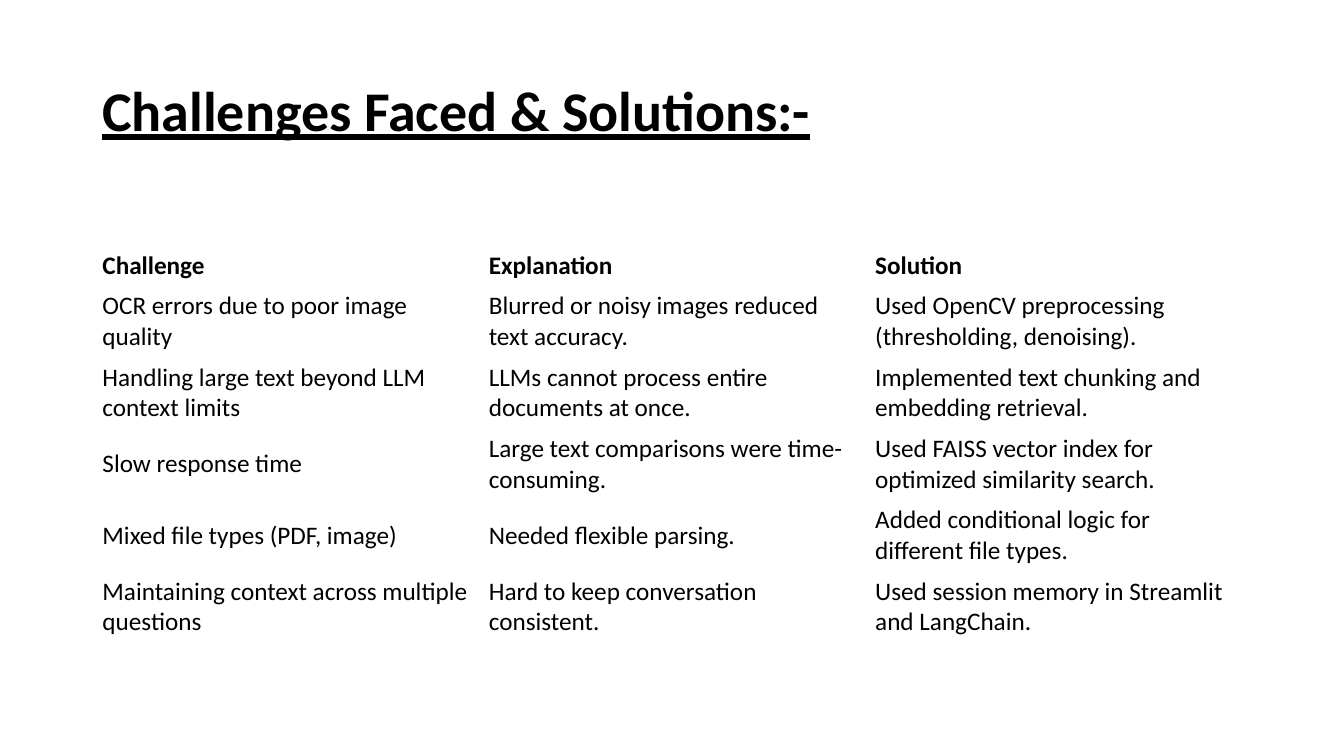
from dataclasses import dataclass

from pptx import Presentation
from pptx.dml.color import RGBColor
from pptx.enum.text import MSO_VERTICAL_ANCHOR as Anchor
from pptx.slide import Slide
from pptx.text.text import _Paragraph as Paragraph
from pptx.util import Pt

COLORS = {"text": "000000", "background": "FFFFFF"}
TITLE_FORMAT = {"name": "Calibri", "size": Pt(40), "bold": True, "underline": True}
HEADING_FORMAT = {"name": "Calibri", "size": Pt(18), "bold": True}
BODY_FORMAT = HEADING_FORMAT | {"bold": False}

LEFT, CONTENT_WIDTH = 66, 828
TITLE_TOP, TITLE_HEIGHT = 28.75, 104.4
TABLE_TOP, HEADING_HEIGHT, ENTRY_HEIGHT = 175, 29, 51


@dataclass(frozen=True)
class Entry:
    challenge: str
    explanation: str
    solution: str

    def texts(self) -> tuple[str, str, str]:
        return self.challenge, self.explanation, self.solution


HEADINGS = Entry("Challenge", "Explanation", "Solution")
ENTRIES = [
    Entry("OCR errors due to poor image quality",
          "Blurred or noisy images reduced text accuracy.",
          "Used OpenCV preprocessing (thresholding, denoising)."),
    Entry("Handling large text beyond LLM context limits",
          "LLMs cannot process entire documents at once.",
          "Implemented text chunking and embedding retrieval."),
    Entry("Slow response time",
          "Large text comparisons were time-consuming.",
          "Used FAISS vector index for optimized similarity search."),
    Entry("Mixed file types (PDF, image)",
          "Needed flexible parsing.",
          "Added conditional logic for different file types."),
    Entry("Maintaining context across multiple questions",
          "Hard to keep conversation consistent.",
          "Used session memory in Streamlit and LangChain."),
]


def write(paragraph: Paragraph, text: str, font_format: dict) -> None:
    run = paragraph.add_run()
    run.text = text
    for attribute, value in font_format.items():
        setattr(run.font, attribute, value)
    run.font.color.rgb = RGBColor.from_string(COLORS["text"])


def add_title(slide: Slide, text: str) -> None:
    title = slide.shapes.add_textbox(
        Pt(LEFT), Pt(TITLE_TOP), Pt(CONTENT_WIDTH), Pt(TITLE_HEIGHT)).text_frame
    title.word_wrap = True
    title.vertical_anchor = Anchor.MIDDLE
    title.paragraphs[0].line_spacing = 0.9
    write(title.paragraphs[0], text, TITLE_FORMAT)


def add_challenges(slide: Slide, headings: Entry, entries: list[Entry]) -> None:
    rows = [headings, *entries]
    height = HEADING_HEIGHT + ENTRY_HEIGHT * len(entries)
    challenges = slide.shapes.add_table(
        len(rows), len(headings.texts()),
        Pt(LEFT), Pt(TABLE_TOP), Pt(CONTENT_WIDTH), Pt(height)).table
    challenges.first_row = False
    challenges.horz_banding = False
    for index, entry in enumerate(rows):
        is_heading = index == 0
        challenges.rows[index].height = Pt(HEADING_HEIGHT if is_heading else ENTRY_HEIGHT)
        for cell, text in zip(challenges.rows[index].cells, entry.texts()):
            cell.fill.background()
            cell.vertical_anchor = Anchor.MIDDLE
            write(cell.text_frame.paragraphs[0], text,
                  HEADING_FORMAT if is_heading else BODY_FORMAT)


def main() -> None:
    deck = Presentation()
    deck.slide_width, deck.slide_height = Pt(960), Pt(540)
    slide = deck.slides.add_slide(deck.slide_layouts[6])
    slide.background.fill.solid()
    slide.background.fill.fore_color.rgb = RGBColor.from_string(COLORS["background"])
    add_title(slide, "Challenges Faced & Solutions:-")
    add_challenges(slide, HEADINGS, ENTRIES)
    deck.save("out.pptx")


if __name__ == "__main__":
    main()
